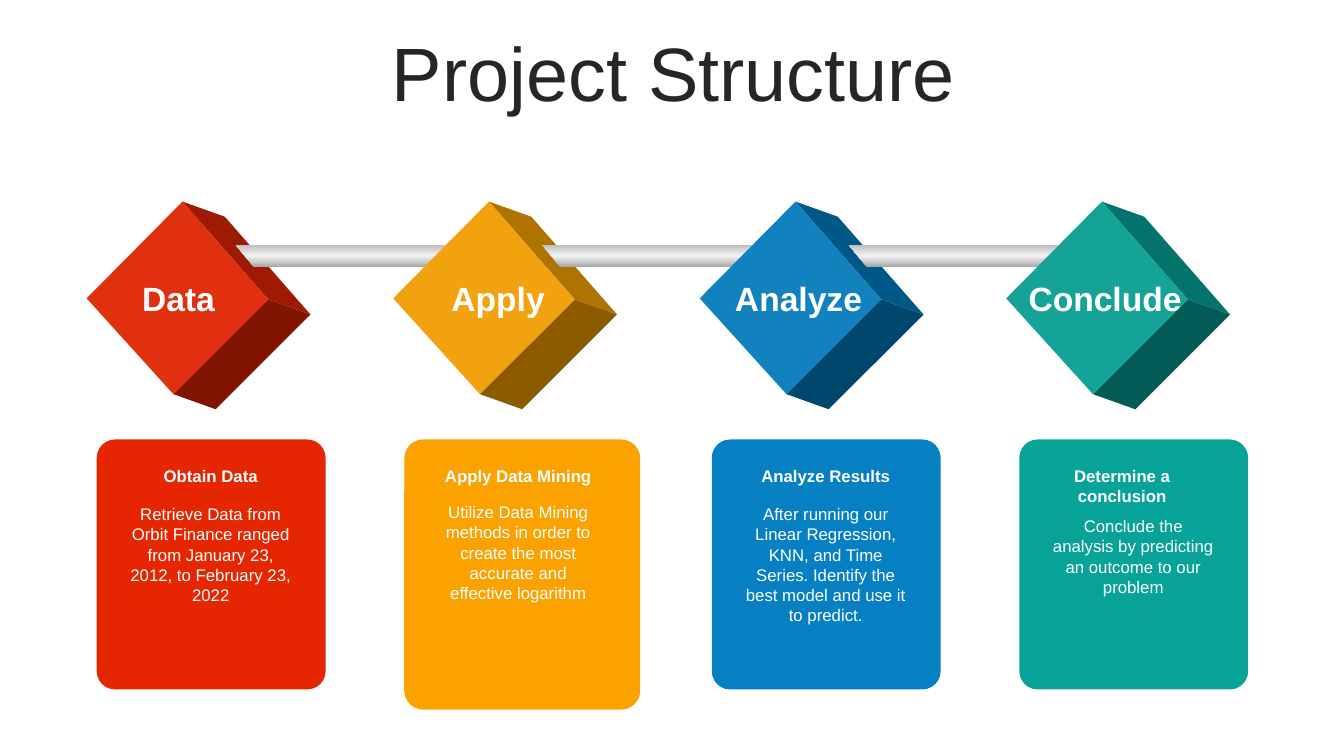
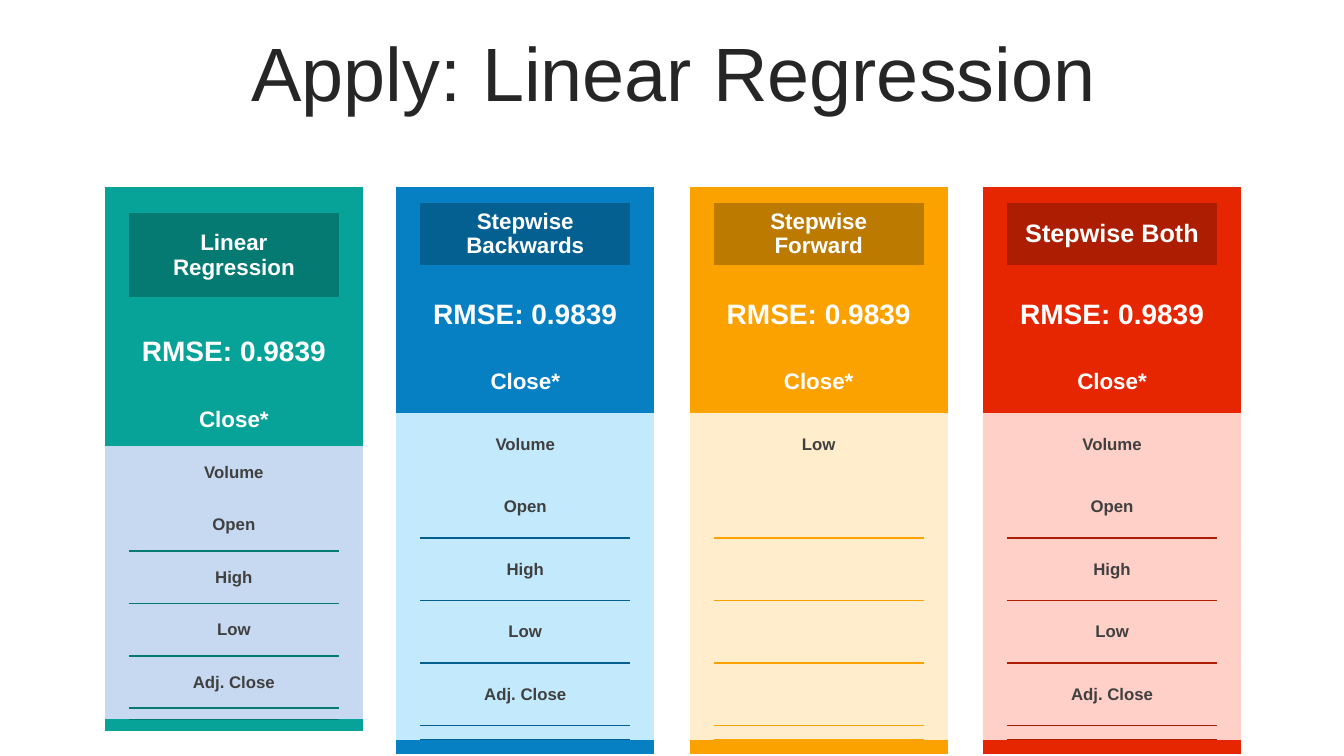
import copy
from dataclasses import dataclass

import lxml.etree
import pptx
import pptx.dml.color
import pptx.enum.shapes
import pptx.enum.text
import pptx.oxml.ns
import pptx.util

PX = 9144  # 100 px to the inch
FONT = "Arial"
WHITE, INK, BODY = "FFFFFF", "262626", "404040"
TEAL, BLUE, GOLD, RED = "07A398", "0680C3", "FBA200", "E62601"
PLAIN = "{2D5ABB26-0587-4C30-8999-92F81FD0307C}"
CENTER = pptx.enum.text.PP_ALIGN.CENTER
MIDDLE = pptx.enum.text.MSO_ANCHOR.MIDDLE

STEP = 304
FRONT = [(181, 200), (266, 297), (172, 391), (86, 296)]
DEPTH = (42, 15)
BAR = [(234, 243), (444, 243), (444, 265), (252, 265)]
STEEL = [(0, "A6A6A6"), (0.5, "F2F2F2"), (1, "BFBFBF")]

CARD_STEP = 305
TALL = (15, 62, 14, 71) + (62,) * 6 + (14, 14)
LOW = (25, 84, 12, 84) + (52,) * 6 + (11, 12)
COLS = (24, 208, 24)
FIELDS = ("Volume", "Open", "High", "Low", "Adj. Close")


@dataclass
class Gem:
    label: str
    mid: int
    front: str
    upper: str
    lower: str


@dataclass
class Card:
    head: str
    text: str
    color: str
    width: int = 227
    height: int = 248
    top: int = 495
    head_dx: int = 22
    head_w: int = 182


@dataclass
class Model:
    name: str
    left: int
    color: str
    badge: str
    tint: str
    rule: str
    rows: tuple[int, ...] = TALL
    fields: tuple[str, ...] = FIELDS
    size: int = 16


GEMS = [
    Gem("Data", 177, "E0300F", "9F1A02", "801400"),
    Gem("Apply", 494, "F3A20F", "AF7300", "8C5B00"),
    Gem("Analyze", 792, "1282BF", "005889", "00476E"),
    Gem("Conclude", 1096, "15A398", "04736B", "035B55"),
]
CARDS = [
    Card("Obtain Data",
         "Retrieve Data from Orbit Finance ranged from January 23, 2012, to February 23, 2022", RED),
    Card("Apply Data Mining",
         "Utilize Data Mining methods in order to create the most accurate and effective logarithm",
         GOLD, width=234, height=268, top=493),
    Card("Analyze Results",
         "After running our Linear Regression, KNN, and Time Series. "
         "Identify the best model and use it to predict.", BLUE),
    Card("Determine a conclusion",
         "Conclude the analysis by predicting an outcome to our problem",
         TEAL, top=507, head_dx=0, head_w=204),
]
MODELS = [
    Model("Linear Regression", 104, TEAL, "057A72", "C6D9F1", "057A72", rows=LOW),
    Model("Stepwise Backwards", 393, BLUE, "056092", "C3E9FD", "056092"),
    Model("Stepwise Forward", 684, GOLD, "BC7A00", "FFEDCB", GOLD, fields=("Low",)),
    Model("Stepwise Both", 975, RED, "AC1D01", "FFD0C7", "AC1D01", size=18),
]


def px(*nums: int) -> list[int]:
    """Turn px into EMU."""
    return [pptx.util.Emu(n * PX) for n in nums]


def rgb(code: str) -> pptx.dml.color.RGBColor:
    return pptx.dml.color.RGBColor.from_string(code)


def paint(fill, code: str) -> None:
    fill.solid()
    fill.fore_color.rgb = rgb(code)


def write(para, text: str, size: int, code: str, bold: bool = False) -> None:
    """Add one centred run."""
    para.alignment = CENTER
    run = para.add_run()
    run.text = text
    font = run.font
    font.name, font.size, font.bold = FONT, pptx.util.Pt(size), bold
    font.color.rgb = rgb(code)


def add_text(slide, box: tuple[int, ...], text: str, size: int, bold: bool = False) -> None:
    frame = slide.shapes.add_textbox(*px(*box)).text_frame
    frame.word_wrap = True
    frame.auto_size = pptx.enum.text.MSO_AUTO_SIZE.SHAPE_TO_FIT_TEXT
    write(frame.paragraphs[0], text, size, WHITE, bold)


def add_slide(deck, text: str):
    slide = deck.slides.add_slide(deck.slide_layouts[5])
    title = slide.shapes.title
    title.left, title.top, title.width, title.height = px(35, 37, 1266, 79)
    frame = title.text_frame
    frame.word_wrap = True
    frame.auto_size = pptx.enum.text.MSO_AUTO_SIZE.NONE
    frame.vertical_anchor = MIDDLE
    para = frame.paragraphs[0]
    para.line_spacing, para.space_before = 0.9, pptx.util.Pt(10)
    write(para, text, 54, INK)
    return slide


def add_poly(slide, points: list[tuple[int, int]], dx: int):
    moved = [(x + dx, y) for x, y in points]
    pen = slide.shapes.build_freeform(*moved[0], scale=PX)
    pen.add_line_segments(moved[1:], close=True)
    shape = pen.convert_to_shape()
    shape.shadow.inherit = False
    shape.line.fill.background()
    return shape


def add_gem(slide, gem: Gem, dx: int) -> None:
    """Draw a diamond block: two side faces, then the front."""
    back = [(x + DEPTH[0], y + DEPTH[1]) for x, y in FRONT]
    top, right, base, _ = FRONT
    faces = [
        ([top, back[0], back[1], right], gem.upper),
        ([right, back[1], back[2], base], gem.lower),
        (FRONT, gem.front),
    ]
    for points, code in faces:
        paint(add_poly(slide, points, dx).fill, code)


def add_bar(slide, dx: int) -> None:
    shape = add_poly(slide, BAR, dx)
    fill = shape.fill
    fill.gradient()
    fill.gradient_angle = 90
    first = next(shape._element.iter(pptx.oxml.ns.qn("a:gs")))
    first.addnext(copy.deepcopy(first))
    for stop, (pos, code) in zip(fill.gradient_stops, STEEL):
        stop.position = pos
        stop.color.rgb = rgb(code)


def add_card(slide, card: Card, left: int) -> None:
    kind = pptx.enum.shapes.MSO_SHAPE.ROUNDED_RECTANGLE
    shape = slide.shapes.add_shape(kind, *px(left, 436, card.width, card.height))
    shape.adjustments[0] = 0.08
    shape.shadow.inherit = False
    shape.line.fill.background()
    paint(shape.fill, card.color)
    add_text(slide, (left + 22, card.top, 182, 111), card.text, 12)
    add_text(slide, (left + card.head_dx, 457, card.head_w, 30), card.head, 12, True)


def add_rule(cell, side: str, code: str) -> None:
    """Put a border on the T or B side of a cell."""
    qn = pptx.oxml.ns.qn
    line = lxml.etree.Element(qn(f"a:ln{side}"), w=str(pptx.util.Pt(1.5)))
    fill = lxml.etree.SubElement(line, qn("a:solidFill"))
    lxml.etree.SubElement(fill, qn("a:srgbClr"), val=code)
    cell._tc.get_or_add_tcPr().insert(0, line)


def clear(cell) -> None:
    """Keep an empty cell from stretching its row."""
    cell.margin_top = cell.margin_bottom = 0
    para = cell.text_frame.paragraphs[0]._p
    lxml.etree.SubElement(para, pptx.oxml.ns.qn("a:endParaRPr"), sz="100")


def add_model(slide, model: Model) -> None:
    box = px(model.left, 186, sum(COLS), sum(model.rows))
    table = slide.shapes.add_table(len(model.rows), len(COLS), *box).table
    table.first_row = table.horz_banding = False
    style = next(table._tbl.iter(pptx.oxml.ns.qn("a:tableStyleId")))
    style.text = PLAIN
    for col, width in zip(table.columns, px(*COLS)):
        col.width = width
    texts = {
        1: (model.name, model.size, WHITE),
        3: ("RMSE: 0.9839", 20, WHITE),
        4: ("Close*", 16, WHITE),
    }
    texts |= {5 + i: (field, 12, BODY) for i, field in enumerate(model.fields)}
    for r, height in enumerate(px(*model.rows)):
        table.rows[r].height = height
        base = model.tint if 5 <= r <= 10 else model.color
        for c in range(len(COLS)):
            cell = table.cell(r, c)
            cell.vertical_anchor = MIDDLE
            paint(cell.fill, model.badge if (r, c) == (1, 1) else base)
            if c == 1 and r in texts:
                write(cell.text_frame.paragraphs[0], *texts[r], bold=True)
            else:
                clear(cell)
        mid = table.cell(r, 1)
        if 6 <= r <= 9:
            add_rule(mid, "B", model.rule)
        if 7 <= r <= 10:
            add_rule(mid, "T", model.rule)


def main() -> None:
    deck = pptx.Presentation()
    deck.slide_width, deck.slide_height = px(1333, 750)

    slide = add_slide(deck, "Project Structure")
    for i, gem in enumerate(GEMS):
        add_gem(slide, gem, i * STEP)
        if i < len(GEMS) - 1:
            add_bar(slide, i * STEP)
    for gem in GEMS:
        add_text(slide, (gem.mid - 87, 271, 174, 50), gem.label, 24, True)
    for i, card in enumerate(CARDS):
        add_card(slide, card, 96 + i * CARD_STEP)

    slide = add_slide(deck, "Apply: Linear Regression")
    for model in MODELS:
        add_model(slide, model)

    deck.save("out.pptx")


if __name__ == "__main__":
    main()
